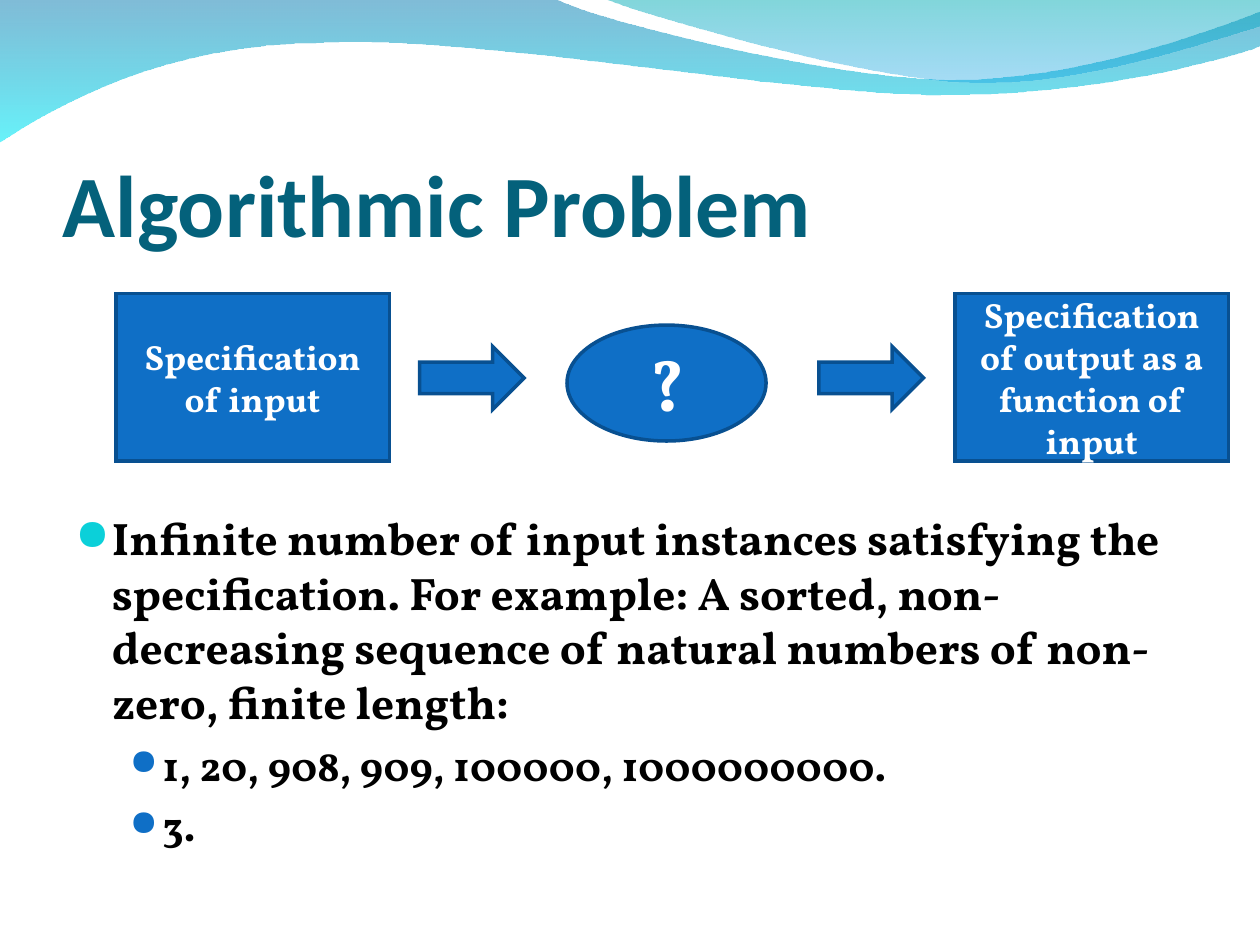
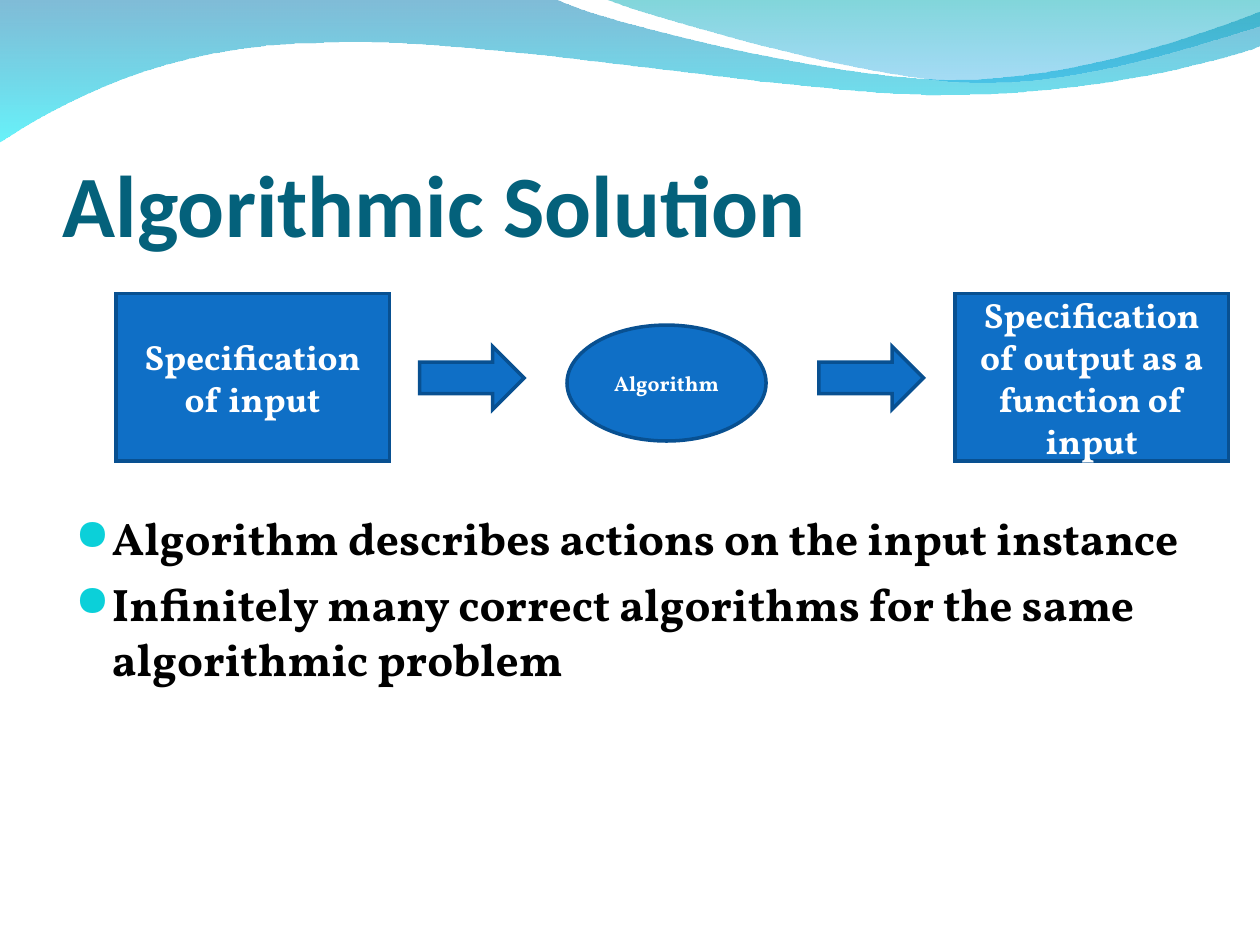
from lxml import etree
from pptx import Presentation
from pptx.dml.color import RGBColor
from pptx.enum import shapes, text
from pptx.oxml import ns
from pptx.util import Inches, Pt

TITLE_TEAL = RGBColor(0x04, 0x61, 0x7B)
BLUE = RGBColor(0x0F, 0x6F, 0xC6)
EDGE_BLUE = RGBColor(0x08, 0x50, 0x91)
CYAN = RGBColor(0x0B, 0xD0, 0xD9)
BLACK = RGBColor(0, 0, 0)
WHITE = RGBColor(0xFF, 0xFF, 0xFF)
TITLE_FONT, BODY_FONT, BULLET_FONT = "Calibri", "Vollkorn", "OpenSymbol"

# Title, (centre label, size), bullets as (level, text)
SLIDES = [
    ("Algorithmic Problem", ("?", 40), [
        (0, "Infinite number of input instances satisfying the specification. "
            "For example: A sorted, non-decreasing sequence of natural numbers "
            "of non-zero, finite length:"),
        (1, "1, 20, 908, 909, 100000, 1000000000."),
        (1, "3."),
    ]),
    ("Algorithmic Solution", ("Algorithm", 12), [
        (0, "Algorithm describes actions on the input instance"),
        (0, "Infinitely many correct algorithms for the same algorithmic problem"),
    ]),
]
INPUT_LABEL = ("Specification of input", 20)
OUTPUT_LABEL = ("Specification of output as a function of input", 20)

# Per level: left margin, hanging indent, space before, size, bullet colour, bullet %
LEVELS = [(0.29, 0.29, 6.5, 26, CYAN, 95), (0.69, 0.26, 6, 24, BLUE, 85)]

# Outlines: a step of one point is a line, a step of three a Bezier curve.
# Gradient stops run from top to bottom: colour, opacity %
WAVES = [
    ([[(0, -0.01)],
      [(4.4, -0.01)],
      [(4.76, 0.17), (6.64, 0.63), (7.58, 0.63)],
      [(8.53, 0.63), (9.58, 0.26), (10, 0.09)],
      [(10.01, 0.36)],
      [(9.83, 0.44), (8.7, 0.76), (7.46, 0.75)],
      [(6.22, 0.75), (3.82, 0.28), (2.57, 0.34)],
      [(1.29, 0.35), (0.46, 0.83), (-0.01, 1.13)]],
     [(RGBColor(0x00, 0x79, 0xAF), 50), (RGBColor(0x00, 0xEB, 0xF8), 60)]),
    ([[(4.79, -0.01)],
      [(5.09, 0.11), (6.82, 0.62), (7.69, 0.65)],
      [(8.56, 0.69), (9.61, 0.32), (10, 0.21)],
      [(10, 0)]],
     [(RGBColor(0x00, 0xAD, 0xB6), 50), (RGBColor(0x00, 0x9B, 0xE5), 35)]),
]


def bend_curves(wave, steps):
    """Fold the three line segments of each curve step into one Bezier segment."""
    segments = iter(list(wave.element.iter(ns.qn("a:lnTo"))))
    for step in steps[1:]:
        lines = [next(segments) for point in step]
        if len(lines) == 3:
            curve = etree.Element(ns.qn("a:cubicBezTo"))
            lines[0].addprevious(curve)
            for line in lines:
                curve.append(line[0])
                line.getparent().remove(line)


def add_wave(page, steps, stops):
    points = [(Inches(x), Inches(y)) for step in steps for x, y in step]
    builder = page.shapes.build_freeform(*points[0])
    builder.add_line_segments(points[1:], close=True)
    wave = builder.convert_to_shape()
    bend_curves(wave, steps)
    wave.shadow.inherit = False
    wave.line.fill.background()
    wave.fill.gradient()
    wave.fill.gradient_angle = 270
    for stop, (color, opacity) in zip(wave.fill.gradient_stops, stops):
        stop.color.rgb = color
    for node, (color, opacity) in zip(wave.element.iter(ns.qn("a:srgbClr")), stops):
        etree.SubElement(node, ns.qn("a:alpha"), val=str(opacity * 1000))


def style(para, name, size, color):
    font = para.font
    font.name, font.size, font.bold = name, Pt(size), True
    font.color.rgb = color


def add_text_frame(page, left, top, width, height):
    frame = page.shapes.add_textbox(*map(Inches, (left, top, width, height))).text_frame
    frame.word_wrap = True
    return frame


def add_title(page, title):
    frame = add_text_frame(page, 0.5, 0.77, 9, 1.25)
    frame.vertical_anchor = text.MSO_ANCHOR.BOTTOM
    frame.margin_left = frame.margin_right = frame.margin_bottom = 0
    para = frame.paragraphs[0]
    para.text = title
    style(para, TITLE_FONT, 50, TITLE_TEAL)


def add_bullets(page, items):
    frame = add_text_frame(page, 0.5, 4, 9, 2.92)
    for index, (level, words) in enumerate(items):
        margin, hanging, before, size, color, percent = LEVELS[level]
        para = frame.add_paragraph() if index else frame.paragraphs[0]
        para.text = words
        para.level = level
        props = para._p.get_or_add_pPr()
        props.set("marL", str(Inches(margin)))
        props.set("indent", str(-Inches(hanging)))
        bullet_color = etree.SubElement(props, ns.qn("a:buClr"))
        etree.SubElement(bullet_color, ns.qn("a:srgbClr"), val=str(color))
        etree.SubElement(props, ns.qn("a:buSzPct"), val=str(percent * 1000))
        etree.SubElement(props, ns.qn("a:buFont"), typeface=BULLET_FONT)
        etree.SubElement(props, ns.qn("a:buChar"), char="●")
        if index:
            para.space_before = Pt(before)
        style(para, BODY_FONT, size, BLACK)


def add_flow(page, center_label):
    """Draw input, process and output, with an arrow between each pair."""
    kind = shapes.MSO_SHAPE
    box_size, arrow_size, oval_size = (2.17, 1.33), (0.83, 0.5), (1.58, 0.92)
    parts = [
        (kind.RECTANGLE, 0.92, 2.33, box_size, INPUT_LABEL),
        (kind.RIGHT_ARROW, 3.33, 2.75, arrow_size, None),
        (kind.OVAL, 4.5, 2.58, oval_size, center_label),
        (kind.RIGHT_ARROW, 6.5, 2.75, arrow_size, None),
        (kind.RECTANGLE, 7.58, 2.33, box_size, OUTPUT_LABEL),
    ]
    for preset, left, top, size, label in parts:
        part = page.shapes.add_shape(preset, *map(Inches, (left, top, *size)))
        part.shadow.inherit = False
        part.fill.solid()
        part.fill.fore_color.rgb = BLUE
        part.line.color.rgb = EDGE_BLUE
        part.line.width = Pt(2)
        edge = part.element.spPr.find(ns.qn("a:ln"))
        etree.SubElement(edge, ns.qn("a:miter"), lim="800000")
        if label:
            words, points = label
            frame = part.text_frame
            frame.word_wrap = True
            frame.vertical_anchor = text.MSO_ANCHOR.MIDDLE
            para = frame.paragraphs[0]
            para.text = words
            para.alignment = text.PP_ALIGN.CENTER
            style(para, BODY_FONT, points, WHITE)


def main():
    deck = Presentation()
    deck.slide_width, deck.slide_height = Inches(10), Inches(7.5)
    for title, center_label, bullets in SLIDES:
        page = deck.slides.add_slide(deck.slide_layouts[6])
        for steps, stops in WAVES:
            add_wave(page, steps, stops)
        add_title(page, title)
        add_bullets(page, bullets)
        add_flow(page, center_label)
    deck.save("out.pptx")


if __name__ == "__main__":
    main()
